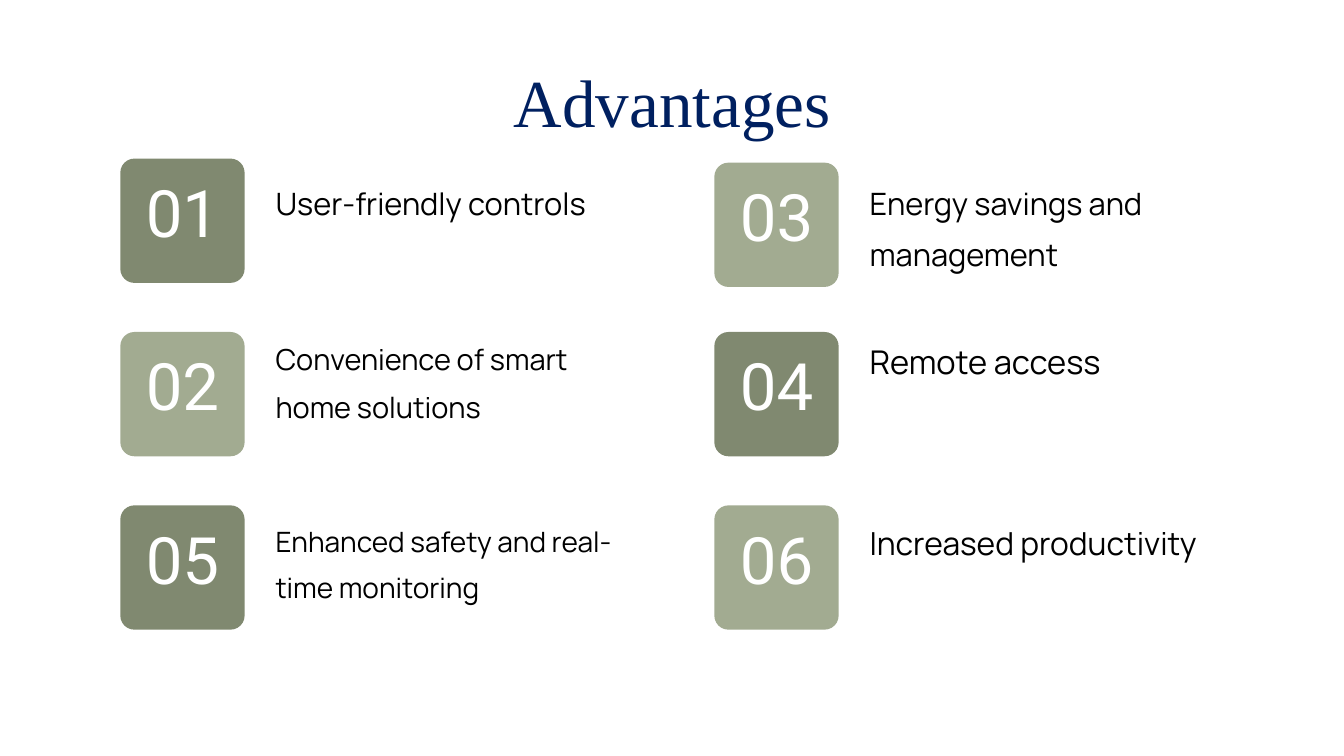
from pptx import Presentation
from pptx.dml.color import RGBColor
from pptx.enum import shapes, text
from pptx.util import Inches, Pt

DARK_SAGE = RGBColor(0x80, 0x89, 0x70)
LIGHT_SAGE = RGBColor(0xA2, 0xAB, 0x91)
NAVY = RGBColor(0x00, 0x20, 0x60)
BLACK = RGBColor(0x00, 0x00, 0x00)
WHITE = RGBColor(0xFF, 0xFF, 0xFF)

TILE = 1.85          # side of a number tile
TILE_RADIUS = 0.21
NUMBER_RISE = 0.48   # the number's box starts this far above its tile
LABEL_OFFSET = 2.31  # from the tile's left edge to its label
LABEL_LEADING = 1.64
LEFT, RIGHT = 1.79, 10.63

# number, tile left, tile top, colour, label, label top, width, height, size
ADVANTAGES = [
    ("01", LEFT, 2.36, DARK_SAGE, "User-friendly controls", 2.55, 5.35, 0.74, 33),
    ("02", LEFT, 4.94, LIGHT_SAGE, "Convenience of smart home solutions", 4.9, 5.35, 1.38, 31),
    ("03", RIGHT, 2.42, LIGHT_SAGE, "Energy savings and management", 2.55, 5.27, 1.49, 33),
    ("04", RIGHT, 4.94, DARK_SAGE, "Remote access", 4.88, 5.27, 0.78, 35),
    ("05", LEFT, 7.52, DARK_SAGE, "Enhanced safety and real-time monitoring", 7.62, 5.35, 1.34, 30),
    ("06", RIGHT, 7.52, LIGHT_SAGE, "Increased productivity", 7.59, 5.35, 0.76, 34),
]


def add_text(slide, box, wording, font, size, color, leading, inset=0,
             align=text.PP_ALIGN.LEFT, anchor=text.MSO_ANCHOR.TOP,
             fit=text.MSO_AUTO_SIZE.SHAPE_TO_FIT_TEXT):
    frame = slide.shapes.add_textbox(*map(Inches, box)).text_frame
    margin = Inches(inset)
    frame_format = {
        "word_wrap": True, "auto_size": fit, "vertical_anchor": anchor,
        "margin_left": margin, "margin_top": margin,
        "margin_right": margin, "margin_bottom": margin,
    }
    for name, value in frame_format.items():
        setattr(frame, name, value)

    paragraph = frame.paragraphs[0]
    paragraph.alignment = align
    paragraph.line_spacing = Pt(leading)
    run = paragraph.add_run()
    run.text = wording
    run.font.name = font
    run.font.size = Pt(size)
    run.font.color.rgb = color


def add_number_tile(slide, number, left, top, color):
    tile = slide.shapes.add_shape(
        shapes.MSO_SHAPE.ROUNDED_RECTANGLE,
        Inches(left), Inches(top), Inches(TILE), Inches(TILE))
    tile.adjustments[0] = TILE_RADIUS / TILE
    tile.shadow.inherit = False
    tile.fill.solid()
    tile.fill.fore_color.rgb = color
    tile.line.fill.background()

    number_box = (left, top - NUMBER_RISE, TILE, TILE + NUMBER_RISE)
    add_text(slide, number_box, number, "Roboto", 70, WHITE, 98, inset=0.06,
             align=text.PP_ALIGN.CENTER, anchor=text.MSO_ANCHOR.MIDDLE,
             fit=text.MSO_AUTO_SIZE.NONE)


def main():
    deck = Presentation()
    deck.slide_width, deck.slide_height = Inches(20), Inches(11.25)
    slide = deck.slides.add_slide(deck.slide_layouts[6])

    # Title
    add_text(slide, (7.23, 0.61, 5.55, 1.41), "Advantages", "Times New Roman",
             72, NAVY, 107, align=text.PP_ALIGN.CENTER)

    # Numbered advantages in two columns
    for number, left, top, color, label, label_top, width, height, size in ADVANTAGES:
        add_number_tile(slide, number, left, top, color)
        add_text(slide, (left + LABEL_OFFSET, label_top, width, height), label,
                 "Manrope", size, BLACK, round(size * LABEL_LEADING, 1))

    deck.save("out.pptx")


if __name__ == "__main__":
    main()
